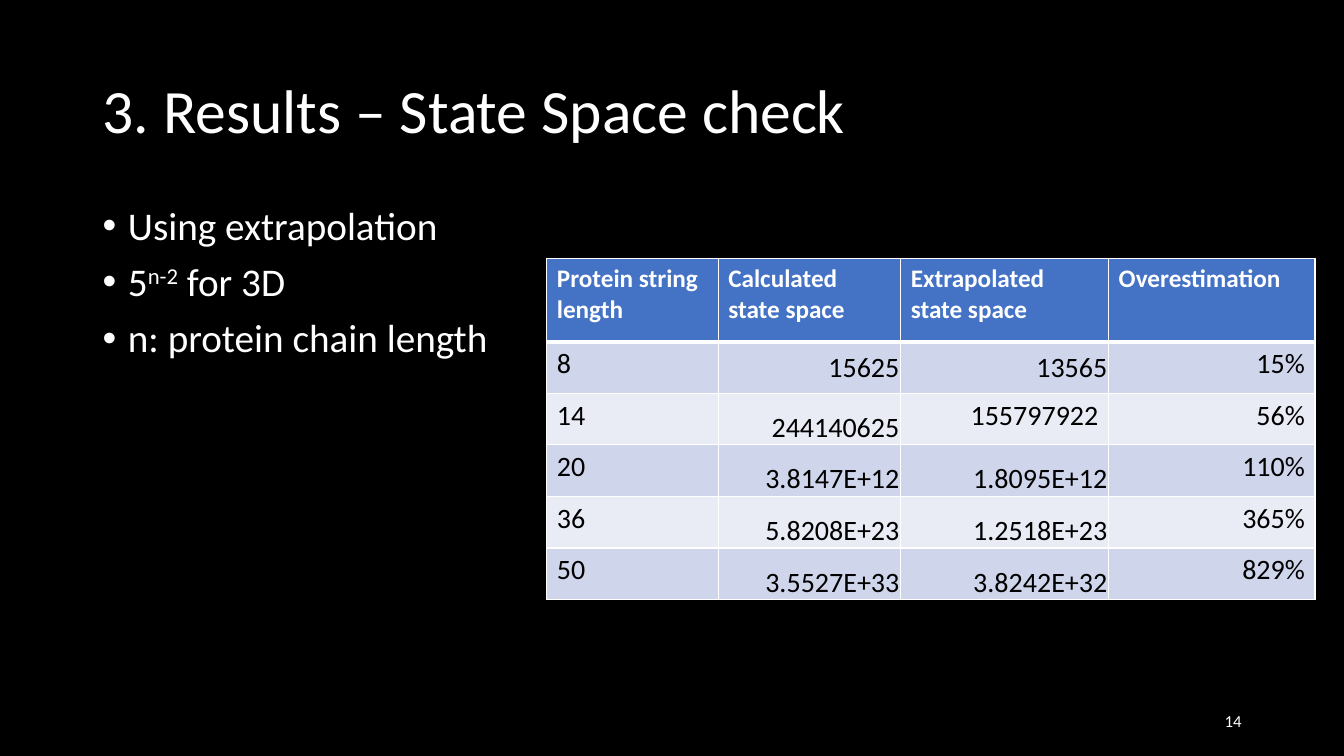
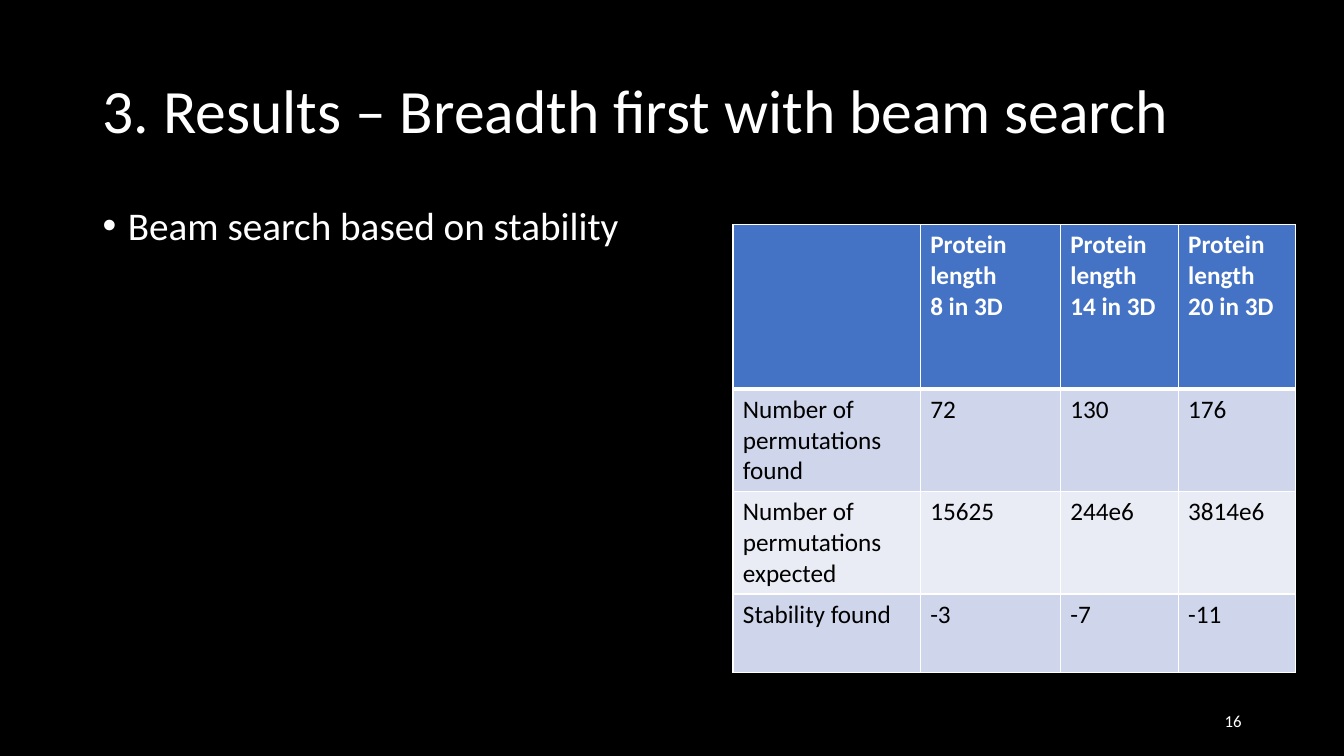
from dataclasses import dataclass

from lxml import etree
from pptx import Presentation
from pptx.dml.color import RGBColor
from pptx.enum import text as t
from pptx.oxml.ns import qn
from pptx.util import Cm, Pt

# Content: "^" encloses a superscript, "\n" starts a paragraph
SLIDES = [
    dict(
        title="3. Results – State Space check",
        bullets=["Using extrapolation", "5^n-2^ for 3D", "n: protein chain length"],
        number="14",
        table=dict(
            at=(13.78, 6.51), cols=(4.32, 4.6, 5.24, 5.2), rows=(2.1,) + (1.3,) * 5,
            size=20, right={1, 2, 3}, tight={1, 2}, loose={(2, 2)},
            cells=[
                ("Protein string length", "Calculated state space",
                 "Extrapolated state space", "Overestimation"),
                ("8", "15625", "13565", "15%"),
                ("14", "244140625", "155797922", "56%"),
                ("20", "3.8147E+12", "1.8095E+12", "110%"),
                ("36", "5.8208E+23", "1.2518E+23", "365%"),
                ("50", "3.5527E+33", "3.8242E+32", "829%"),
            ],
        ),
    ),
    dict(
        title="3. Results – Breadth first with beam search",
        bullets=["Beam search based on stability"],
        number="16",
        table=dict(
            at=(18.47, 5.66), cols=(4.72, 3.53, 2.97, 2.95), rows=(4.15, 2.58, 2.58, 1.98),
            size=18, right=set(), tight=set(), loose=set(),
            cells=[
                ("", "Protein length\n8 in 3D", "Protein length\n14 in 3D",
                 "Protein length\n20 in 3D"),
                ("Number of permutations\nfound", "72", "130", "176"),
                ("Number of permutations\nexpected", "15625", "244e6", "3814e6"),
                ("Stability found", "-3", "-7", "-11"),
            ],
        ),
    ),
]


@dataclass(frozen=True)
class Theme:
    font: str = "Calibri"
    back: str = "000000"
    light: str = "FFFFFF"
    dark: str = "000000"
    header: str = "4472C4"
    bands: tuple = ("CFD5EA", "E9EBF5")
    title: int = 44
    body: int = 28
    head: int = 18
    number: int = 12
    rule: int = 1
    thick_rule: int = 3


TH = Theme()
TITLE_BOX = (2.33, 1.01, 29.21, 3.68)
BODY_BOX = (2.33, 5.07, 14.4, 12.09)
NUMBER_BOX = (23.92, 17.66, 7.62, 1.01)


def place(sp, box):
    sp.left, sp.top, sp.width, sp.height = map(Cm, box)


def write(tf, text, size, color=TH.light, bold=False, align=t.PP_ALIGN.LEFT,
          spacing=None, before=0, bullet=False):
    """Fill a text frame, one paragraph per line."""
    for i, line in enumerate(text.split("\n")):
        p = tf.add_paragraph() if i else tf.paragraphs[0]
        p.alignment, p.line_spacing, p.space_before = align, spacing, Pt(before)
        if bullet:
            pPr = p._p.get_or_add_pPr()
            pPr.set("marL", str(Cm(0.64)))
            pPr.set("indent", str(-Cm(0.64)))
            etree.SubElement(pPr, qn("a:buFont"), typeface="Arial")
            etree.SubElement(pPr, qn("a:buChar"), char="•")
        for j, part in enumerate(line.split("^")):
            r = p.add_run()
            r.text = part
            r.font.name, r.font.size, r.font.bold = TH.font, Pt(size), bold
            r.font.color.rgb = RGBColor.from_string(color)
            if j % 2:
                r.font._element.set("baseline", "30000")


def paint_cell(cell, fill, top, bottom):
    tcPr = cell._tc.get_or_add_tcPr()
    for side, width in zip("LRTB", (TH.rule, TH.rule, top, bottom)):
        ln = etree.SubElement(tcPr, qn("a:ln" + side), w=str(Pt(width)))
        etree.SubElement(etree.SubElement(ln, qn("a:solidFill")),
                         qn("a:srgbClr"), val=TH.light)
    cell.fill.solid()
    cell.fill.fore_color.rgb = RGBColor.from_string(fill)


def add_table(s, at, cols, rows, size, right, tight, loose, cells):
    frame = s.shapes.add_table(len(rows), len(cols), *map(Cm, (*at, sum(cols), sum(rows))))
    tbl = frame.table
    for col, width in zip(tbl.columns, cols):
        col.width = Cm(width)
    for row, height in zip(tbl.rows, rows):
        row.height = Cm(height)
    for i, texts in enumerate(cells):
        for j, text in enumerate(texts):
            cell = tbl.cell(i, j)
            if i == 0:
                paint_cell(cell, TH.header, TH.rule, TH.thick_rule)
                if text:
                    write(cell.text_frame, text, TH.head, bold=True)
                continue
            paint_cell(cell, TH.bands[(i - 1) % 2],
                       TH.thick_rule if i == 1 else TH.rule, TH.rule)
            write(cell.text_frame, text, size, TH.dark,
                  align=t.PP_ALIGN.RIGHT if j in right else t.PP_ALIGN.LEFT)
            if j in tight and (i, j) not in loose:
                cell.margin_left = cell.margin_right = cell.margin_top = Cm(0.03)
                cell.margin_bottom = 0
                cell.vertical_anchor = t.MSO_ANCHOR.MIDDLE if i == 1 else t.MSO_ANCHOR.BOTTOM


def add_slide(prs, layout, title, bullets, number, table):
    s = prs.slides.add_slide(layout)
    write(s.shapes.title.text_frame, title, TH.title, spacing=0.9)
    write(s.placeholders[1].text_frame, "\n".join(bullets), TH.body,
          spacing=0.9, before=10, bullet=True)
    add_table(s, **table)
    tf = s.shapes.add_textbox(*map(Cm, NUMBER_BOX)).text_frame
    tf.word_wrap, tf.vertical_anchor = True, t.MSO_ANCHOR.MIDDLE
    write(tf, number, TH.number, align=t.PP_ALIGN.RIGHT)


def main():
    prs = Presentation()
    prs.slide_width, prs.slide_height = Cm(33.87), Cm(19.05)

    # Shared background and placeholder positions
    fill = prs.slide_master.background.fill
    fill.solid()
    fill.fore_color.rgb = RGBColor.from_string(TH.back)
    layout = prs.slide_layouts.get_by_name("Title and Content")
    for sp, box in zip(layout.placeholders, (TITLE_BOX, BODY_BOX)):
        place(sp, box)
    layout.placeholders[0].text_frame.vertical_anchor = t.MSO_ANCHOR.MIDDLE

    for content in SLIDES:
        add_slide(prs, layout, **content)
    prs.save("out.pptx")


if __name__ == "__main__":
    main()
